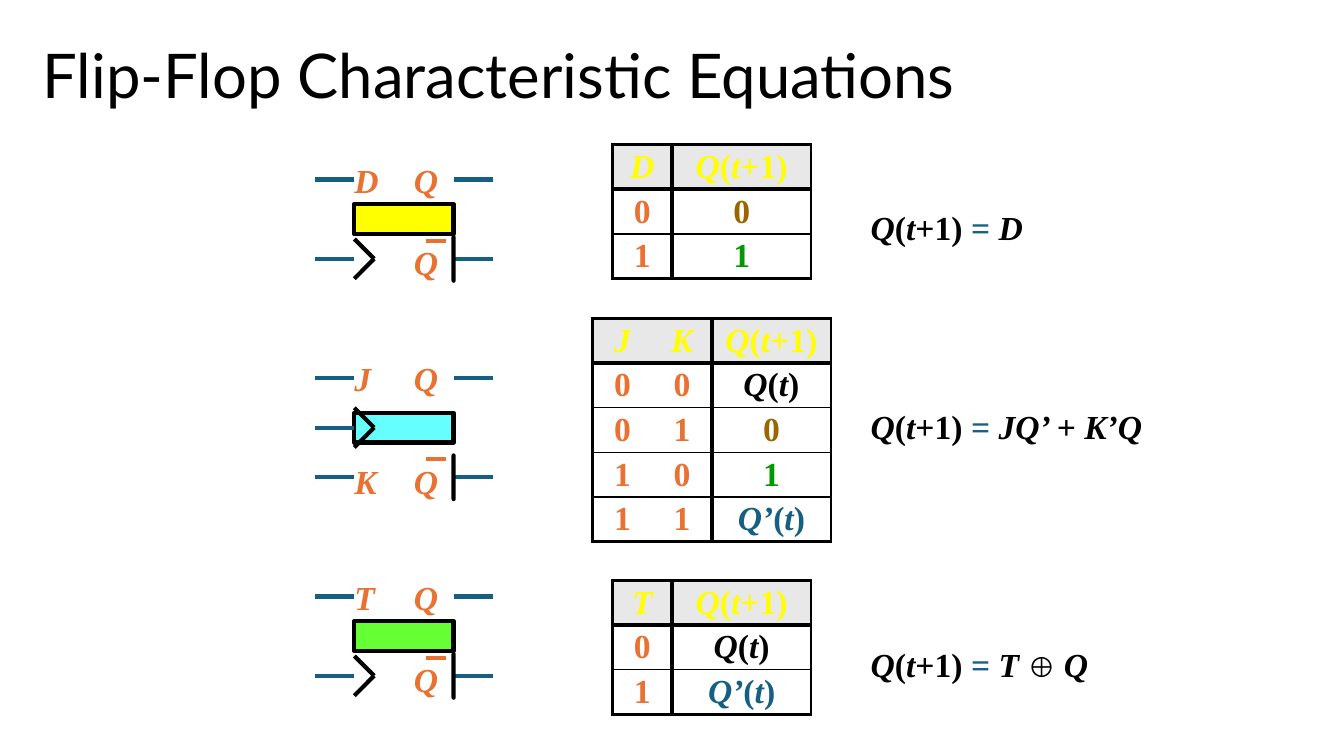
from dataclasses import dataclass

from lxml import etree
from pptx import Presentation
from pptx.dml.color import RGBColor
from pptx.enum.shapes import MSO_CONNECTOR, MSO_SHAPE
from pptx.enum.text import MSO_ANCHOR, MSO_AUTO_SIZE, PP_ALIGN
from pptx.oxml.ns import qn
from pptx.util import Inches, Pt

STRAIGHT = MSO_CONNECTOR.STRAIGHT
RECTANGLE, OVAL = MSO_SHAPE.RECTANGLE, MSO_SHAPE.OVAL
MIDDLE = MSO_ANCHOR.MIDDLE
LEFT, CENTER = PP_ALIGN.LEFT, PP_ALIGN.CENTER
GROW = MSO_AUTO_SIZE.SHAPE_TO_FIT_TEXT
LEFT_SIDE = 1


@dataclass(frozen=True)
class Theme:
    """Colours, fonts, type sizes, line widths and grid of the slide."""
    ink: str = "000000"
    paper: str = "FFFFFF"
    signal: str = "E97132"
    accent: str = "156082"
    header_text: str = "FFFF00"
    header_fill: str = "E8E8E8"
    reset: str = "996600"
    set_state: str = "009900"
    title_font: str = "Lato"
    math_font: str = "Times New Roman"
    title_size: float = 44
    math_size: float = 24
    operator_size: float = 20
    heavy: float = 3
    frame: float = 2.25
    thin: float = 1
    step: float = 0.197
    origin_x: float = 3.12
    origin_y: float = 1.78
    row_height: float = 2.25


class SlideBuilder:
    """Draws flip-flops, tables and equations on a square grid."""

    def __init__(self, presentation, theme):
        """Add a title-only slide and keep the style."""
        self.theme = theme
        self.slide = presentation.slides.add_slide(presentation.slide_layouts[5])
        self.shapes = self.slide.shapes

    def point(self, column, row):
        """Return the slide position of a grid point."""
        theme = self.theme
        return (Inches(theme.origin_x + column * theme.step),
                Inches(theme.origin_y + row * theme.step))

    def span(self, count):
        """Return the length of a number of grid steps."""
        return Inches(count * self.theme.step)

    def area(self, column, row, columns, rows):
        """Return left, top, width and height of a grid area."""
        return (*self.point(column, row), self.span(columns), self.span(rows))

    def title(self, text, column, row, columns, rows):
        """Place and format the title placeholder."""
        shape = self.slide.shapes.title
        shape.left, shape.top, shape.width, shape.height = self.area(column, row, columns, rows)
        frame = shape.text_frame
        frame.text = text
        frame.vertical_anchor = MIDDLE
        paragraph = frame.paragraphs[0]
        paragraph.alignment = LEFT
        paragraph.line_spacing = 0.9
        font = paragraph.runs[0].font
        font.name = self.theme.title_font
        font.size = Pt(self.theme.title_size)
        font.color.rgb = RGBColor.from_string(self.theme.ink)

    def formula(self, paragraph, markup, color):
        """Write bold runs that alternate between italic and upright at each bar."""
        theme = self.theme
        for index, text in enumerate(markup.split("|")):
            if not text:
                continue
            run = paragraph.add_run()
            run.text = text
            font = run.font
            font.name = theme.math_font
            font.size = Pt(theme.operator_size if text == "⊕" else theme.math_size)
            font.bold = True
            font.italic = index % 2 == 0
            font.color.rgb = RGBColor.from_string(theme.accent if text == "= " else color)

    def text(self, markup, column, row, columns, rows, color, spacing=1.0):
        """Add a text box without margins that holds a formula."""
        frame = self.shapes.add_textbox(*self.area(column, row, columns, rows)).text_frame
        frame.margin_left = frame.margin_right = frame.margin_top = frame.margin_bottom = 0
        frame.word_wrap = True
        frame.auto_size = GROW
        frame.paragraphs[0].line_spacing = spacing
        self.formula(frame.paragraphs[0], markup, color)

    def label(self, name, column, row):
        """Add a pin name."""
        self.text(name, column, row, 2, 2, self.theme.signal)

    def shape(self, kind, column, row, columns, rows, fill):
        """Add a filled shape with a heavy outline."""
        shape = self.shapes.add_shape(kind, *self.area(column, row, columns, rows))
        shape.shadow.inherit = False
        shape.fill.solid()
        shape.fill.fore_color.rgb = RGBColor.from_string(fill)
        shape.line.color.rgb = RGBColor.from_string(self.theme.ink)
        shape.line.width = Pt(self.theme.heavy)
        return shape

    def line(self, start, end, color):
        """Add a heavy straight line between two grid points."""
        connector = self.shapes.add_connector(STRAIGHT, *self.point(*start), *self.point(*end))
        connector.line.color.rgb = RGBColor.from_string(color)
        connector.line.width = Pt(self.theme.heavy)
        etree.SubElement(connector._element.spPr, qn("a:effectLst"))
        return connector

    def flip_flop(self, top, bottom, clock, inputs, fill):
        """Draw one grouped flip-flop symbol with its pins."""
        theme = self.theme
        self.shapes = self.slide.shapes.add_group_shape().shapes
        middle = (top + bottom) / 2
        body = self.shape(RECTANGLE, 2, middle - 0.75, 5, 1.5, fill)
        for name, row in zip(inputs, (top - 1, bottom - 0.85)):
            self.label(name, 2, row)
        for row in (clock - 1, clock + 1):
            self.line((2, row), (3, clock), theme.ink)
        for row in sorted({top, clock, bottom}):
            lead = self.line((2, row), (0, row), theme.accent)
            if row == middle:
                lead.begin_connect(body, LEFT_SIDE)
        for row in (top, bottom):
            self.line((9, row), (7, row), theme.accent)
        self.label("Q", 5, top - 1)
        self.shape(OVAL, 7, bottom - 1.1, 0, 2.2, theme.paper)
        self.label("Q", 5, bottom - 0.85)
        self.line((6.6, bottom - 0.9), (5.6, bottom - 0.9), theme.signal)
        self.shapes = self.slide.shapes

    def borders(self, cell, widths):
        """Set the left, right, top and bottom borders, where zero hides one."""
        properties = cell._tc.get_or_add_tcPr()
        for side, width in zip("LRTB", widths):
            border = etree.SubElement(properties, qn(f"a:ln{side}"), w=str(Pt(width)))
            if width:
                fill = etree.SubElement(border, qn("a:solidFill"))
                etree.SubElement(fill, qn("a:srgbClr"), val=self.theme.ink)
            else:
                etree.SubElement(border, qn("a:noFill"))

    def table(self, column, row, widths, rows):
        """Add a characteristic table whose last column is the next state."""
        theme = self.theme
        area = self.area(column, row, sum(widths), theme.row_height * len(rows))
        table = self.shapes.add_table(len(rows), len(widths), *area).table
        table.first_row = table.horz_banding = False
        for table_column, width in zip(table.columns, widths):
            table_column.width = self.span(width)
        state_colors = {"|0": theme.reset, "|1": theme.set_state, "Q’|(|t|)": theme.accent}
        last = len(widths) - 1
        verticals = [theme.frame] + [0] * (last - 1) + [theme.heavy, theme.frame]
        horizontals = [theme.frame, theme.heavy] + [theme.thin] * (len(rows) - 2) + [theme.frame]
        for y, values in enumerate(rows):
            for x, markup in enumerate(values):
                cell = table.cell(y, x)
                cell.margin_left = cell.margin_right = cell.margin_top = cell.margin_bottom = 0
                cell.vertical_anchor = MIDDLE
                self.borders(cell, verticals[x:x + 2] + horizontals[y:y + 2])
                color = state_colors.get(markup, theme.ink) if x == last else theme.signal
                if y == 0:
                    color = theme.header_text
                    cell.fill.solid()
                    cell.fill.fore_color.rgb = RGBColor.from_string(theme.header_fill)
                else:
                    cell.fill.background()
                paragraph = cell.text_frame.paragraphs[0]
                paragraph.alignment = CENTER
                self.formula(paragraph, markup, color)

    def equation(self, result, row, columns):
        """Add the equation of the next state."""
        self.text("Q|(|t|+1) ||= |" + result, 28, row, columns, 2.25, self.theme.ink, 1.2)


def main():
    """Build the slide and save it."""
    presentation = Presentation()
    presentation.slide_width, presentation.slide_height = Inches(13.33), Inches(7.5)
    builder = SlideBuilder(presentation, Theme())
    following, hold, toggle = "Q|(|t|+1)", "Q|(|t|)", "Q’|(|t|)"

    builder.title("Flip-Flop Characteristic Equations", -14.2, -8.8, 58.4, 7.4)

    builder.flip_flop(0, 4, 4, "D", "FFFF00")
    builder.table(15, -1.75, (3, 7), [("D", following), ("|0", "|0"), ("|1", "|1")])
    builder.equation("D", 1, 9)

    builder.flip_flop(10, 15, 12.5, "JK", "66FFFF")
    builder.table(14, 7, (3, 3, 6), [
        ("J", "K", following), ("|0", "|0", hold), ("|0", "|1", "|0"),
        ("|1", "|0", "|1"), ("|1", "|1", toggle)])
    builder.equation("JQ’ |+| K’Q", 11, 14)

    builder.flip_flop(21, 25, 25, "T", "66FF33")
    builder.table(15, 20.2, (3, 7), [("T", following), ("|0", hold), ("|1", toggle)])
    builder.equation("T |⊕|| |Q", 23, 13)

    presentation.save("out.pptx")


if __name__ == "__main__":
    main()
